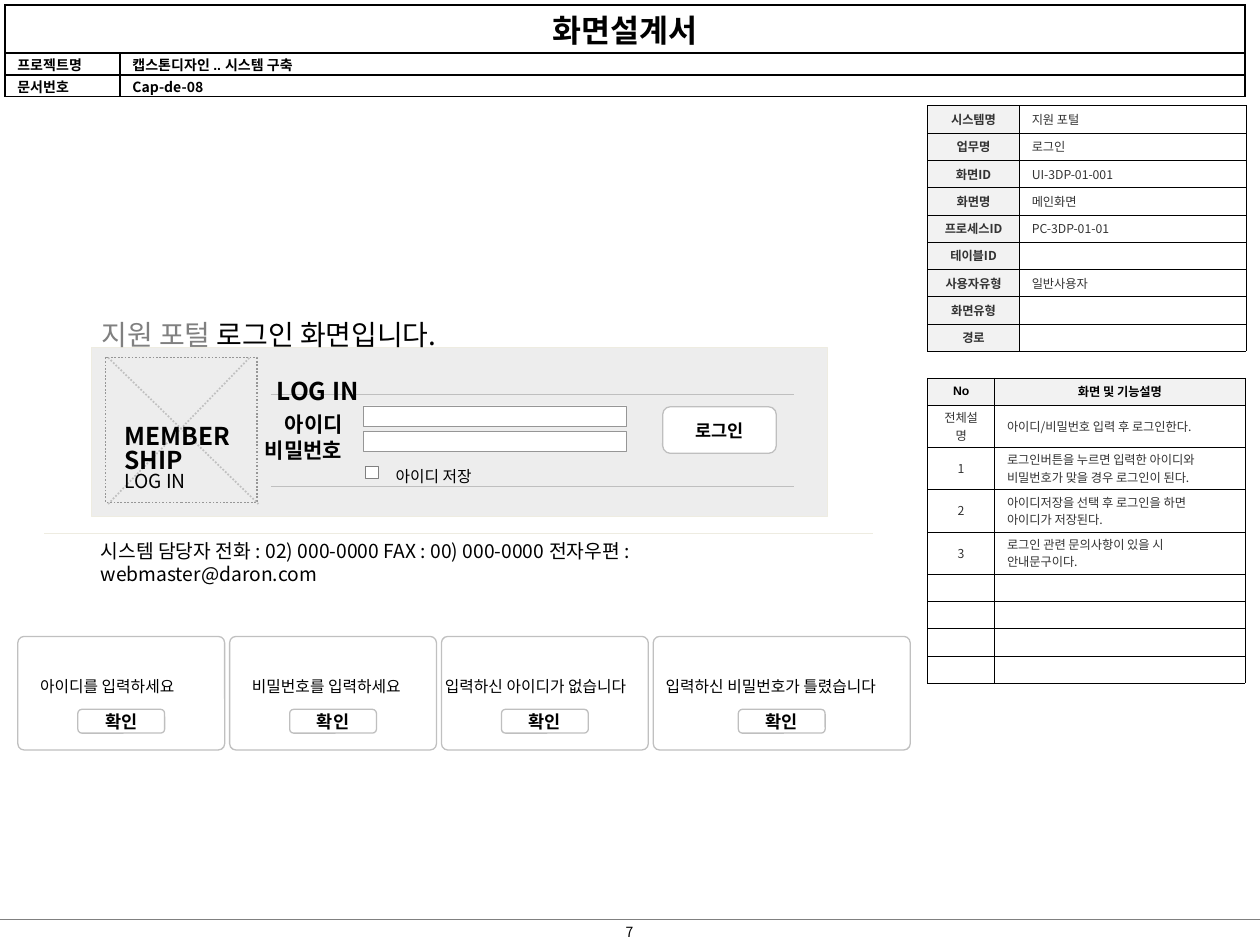
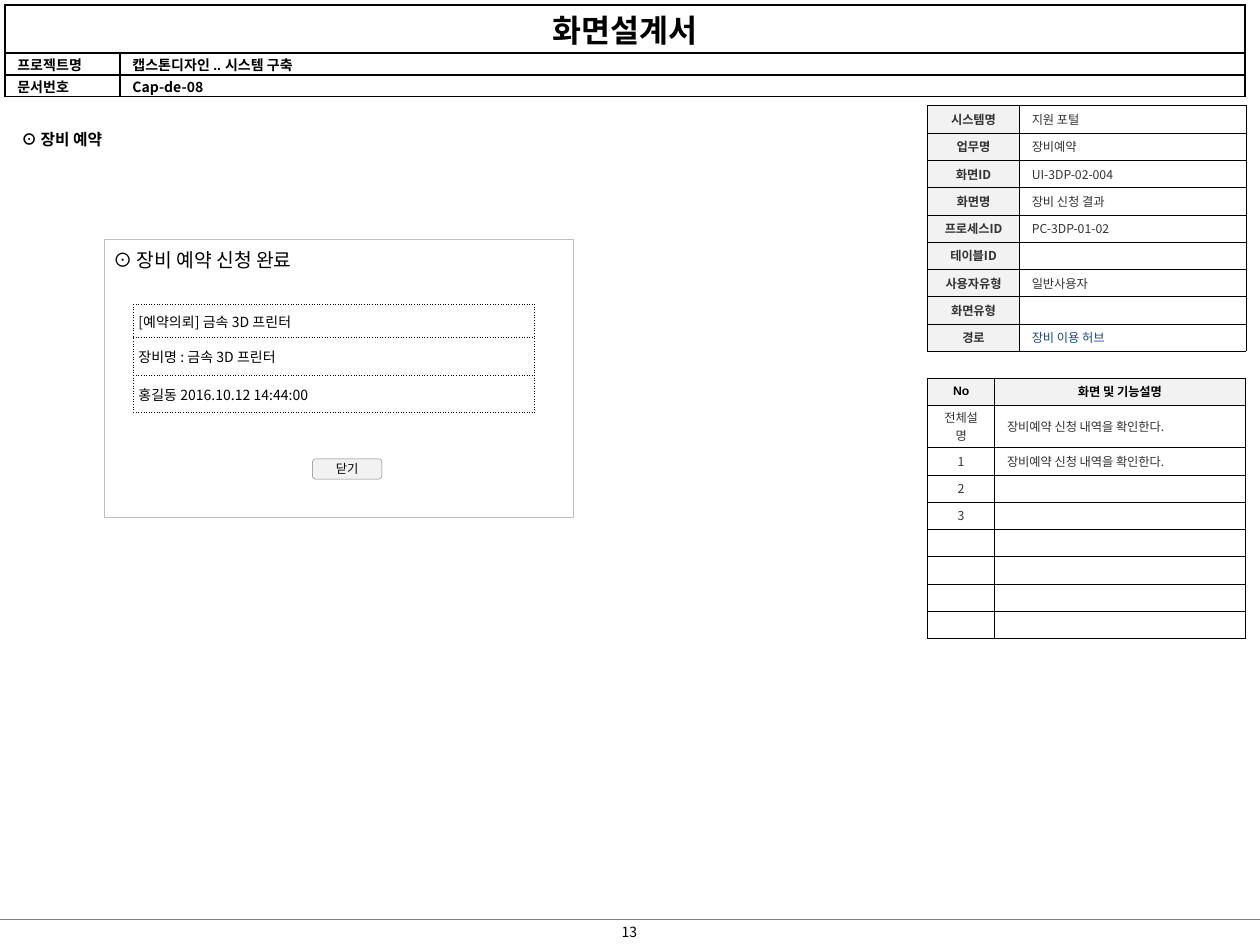
import pptx
import pptx.chart.data
import pptx.dml.color
import pptx.enum.dml
import pptx.enum.shapes
import pptx.enum.text
import pptx.oxml
import pptx.oxml.ns
import pptx.util
from lxml import etree

Cm = pptx.util.Cm
Pt = pptx.util.Pt
SHAPE = pptx.enum.shapes.MSO_SHAPE
ALIGN = pptx.enum.text.PP_ALIGN
ANCHOR = pptx.enum.text.MSO_ANCHOR
DASH = pptx.enum.dml.MSO_LINE
qn = pptx.oxml.ns.qn

COLORS = {
    "black": "000000",
    "white": "FFFFFF",
    "ink": "333333",
    "label": "F2F2F2",
    "link": "1F497D",
    "gray": "808080",
    "outline": "969696",
    "silver": "C0C0C0",
    "rule": "BFBFBF",
    "panel": "DDDDDD",
    "pale": "EEECE1",
}
KOREAN = "Noto Sans CJK KR"
LATIN = "Arial"

HEADER_ROWS = [
    ("화면설계서", ""),
    ("프로젝트명", "캡스톤디자인 .. 시스템 구축"),
    ("문서번호", "Cap-de-08"),
]
INFO_LABELS = [
    "시스템명", "업무명", "화면ID", "화면명", "프로세스ID",
    "테이블ID", "사용자유형", "화면유형", "경로",
]
DESCRIPTION_LABELS = ["전체설명", "1", "2", "3", "", "", "", ""]
POPUPS = [
    ("아이디를 입력하세요", 4.17, 0.2),
    ("비밀번호를 입력하세요", 4.17, 0.2),
    ("입력하신 아이디가 없습니다", 4.17, -0.18),
    ("입력하신 비밀번호가 틀렸습니다", 5.18, 0),
]


def rgb(name):
    return pptx.dml.color.RGBColor.from_string(COLORS[name])


def apply_formats(target, formats):
    for name, value in formats.items():
        setattr(target, name, value)


def write_span(para, text, size, color="black", bold=False, font=KOREAN):
    span = para.add_run()
    span.text = text
    apply_formats(span.font, {"size": Pt(size), "bold": bold, "name": font})
    span.font.color.rgb = rgb(color)
    properties = span.font._element
    etree.SubElement(properties, qn("a:ea"), typeface=KOREAN)


def set_margins(target, side, top):
    apply_formats(target, {
        "margin_left": Cm(side), "margin_right": Cm(side),
        "margin_top": Cm(top), "margin_bottom": Cm(top),
    })


def write_lines(frame, lines, align=ALIGN.LEFT, spacing=None):
    for index, spans in enumerate(lines):
        para = frame.paragraphs[0] if index == 0 else frame.add_paragraph()
        apply_formats(para, {"alignment": align, "line_spacing": spacing})
        for text, formats in spans:
            write_span(para, text, **formats)


def add_text(page, area, lines, align=ALIGN.LEFT, spacing=None, insets=(0.25, 0.13)):
    box = page.shapes.add_textbox(*map(Cm, area))
    box.text_frame.word_wrap = True
    set_margins(box.text_frame, *insets)
    write_lines(box.text_frame, lines, align, spacing)


def add_label(page, area, text, align=ALIGN.LEFT, spacing=1.2, insets=(0.2, 0.1), **formats):
    add_text(page, area, [[(text, formats)]], align, spacing, insets)


def add_box(page, area, line, width, fill="white", kind=SHAPE.RECTANGLE,
            rounding=None, alpha=None, dash=None):
    box = page.shapes.add_shape(kind, *map(Cm, area))
    box.shadow.inherit = False
    if rounding is not None:
        box.adjustments[0] = rounding
    if fill:
        box.fill.solid()
        box.fill.fore_color.rgb = rgb(fill)
    else:
        box.fill.background()
    if alpha:
        color = box.fill._xPr.find(qn("a:solidFill"))[0]
        etree.SubElement(color, qn("a:alpha"), val=str(alpha * 1000))
    box.line.color.rgb = rgb(line)
    apply_formats(box.line, {"width": Pt(width), "dash_style": dash})
    return box


def add_button(page, area, text, size=10, bold=True, fill="white", line="rule", width=0.75):
    button = add_box(page, area, line, width, fill, SHAPE.ROUNDED_RECTANGLE, 0.167)
    frame = button.text_frame
    apply_formats(frame, {"vertical_anchor": ANCHOR.MIDDLE, "word_wrap": True})
    set_margins(frame, 0, 0)
    write_lines(frame, [[(text, {"size": size, "bold": bold})]], ALIGN.CENTER)


def add_line(page, start, end, color, width, dash=None):
    line = page.shapes.add_connector(
        pptx.enum.shapes.MSO_CONNECTOR.STRAIGHT, *map(Cm, start + end))
    line.line.color.rgb = rgb(color)
    apply_formats(line.line, {"width": Pt(width), "dash_style": dash})
    etree.SubElement(line._element.spPr, qn("a:effectLst"))


def add_grid(page, left, top, columns, rows):
    frame = page.shapes.add_table(
        len(rows), len(columns), Cm(left), Cm(top), Cm(sum(columns)), Cm(sum(rows)))
    table = frame.table
    apply_formats(table, {"first_row": False, "horz_banding": False})
    for column, width in zip(table.columns, columns):
        column.width = Cm(width)
    for row, height in zip(table.rows, rows):
        row.height = Cm(height)
    return table


def set_borders(cell, width, dash):
    properties = cell._tc.get_or_add_tcPr()
    for side in ("a:lnL", "a:lnR", "a:lnT", "a:lnB"):
        border = etree.SubElement(properties, qn(side), w=str(Pt(width)))
        fill = etree.SubElement(border, qn("a:solidFill"))
        etree.SubElement(fill, qn("a:srgbClr"), val=COLORS["black"])
        etree.SubElement(border, qn("a:prstDash"), val=dash)


def fill_cell(cell, text, size=7, fill="white", align=ALIGN.LEFT, border=0.25,
              dash="solid", anchor=ANCHOR.MIDDLE, insets=(0.25, 0.05), **formats):
    set_borders(cell, border, dash)
    cell.fill.solid()
    cell.fill.fore_color.rgb = rgb(fill)
    cell.vertical_anchor = anchor
    set_margins(cell, *insets)
    para = cell.text_frame.paragraphs[0]
    para.alignment = align
    if text:
        write_span(para, text, size, **formats)
    else:
        etree.SubElement(para._p, qn("a:endParaRPr"), sz=str(size * 100))


def add_header(page):
    table = add_grid(page, 0.1, 0.1, [2.32, 22.68], [0.97, 0.44, 0.44])
    formats = {"border": 1, "anchor": ANCHOR.TOP, "bold": True}
    for row, texts in enumerate(HEADER_ROWS):
        for column, text in enumerate(texts):
            cell = table.cell(row, column)
            is_title = row == 0
            fill_cell(cell, text, 18 if is_title else 8,
                      align=ALIGN.CENTER if is_title else ALIGN.LEFT,
                      font=LATIN if row == 1 else KOREAN,
                      insets=(0.25, 0.02), **formats)
    table.cell(0, 0).merge(table.cell(0, 1))


def add_footer(page, number):
    add_line(page, (0, 18.54), (25.4, 18.54), "gray", 0.75)
    add_label(page, (11.99, 18.49, 1.4, 0.61), number, ALIGN.CENTER, None,
              (0.25, 0.13), size=8)


def add_info(page, values):
    table = add_grid(page, 18.7, 2.13, [1.85, 4.57], [0.55] * len(INFO_LABELS))
    for row, (label, value) in enumerate(zip(INFO_LABELS, values)):
        fill_cell(table.cell(row, 0), label, fill="label", align=ALIGN.CENTER,
                  insets=(0.1, 0.05), color="ink", bold=True)
        fill_cell(table.cell(row, 1), value, color="link" if label == "경로" else "ink")


def add_descriptions(page, texts, tall_rows):
    rows = [0.55] + [0.85 if index < tall_rows else 0.55
                     for index in range(len(DESCRIPTION_LABELS))]
    table = add_grid(page, 18.7, 7.62, [1.35, 5.05], rows)
    for column, title in enumerate(("No", "화면 및 기능설명")):
        fill_cell(table.cell(0, column), title, fill="label", align=ALIGN.CENTER,
                  bold=True, font=LATIN)
    for row, label in enumerate(DESCRIPTION_LABELS):
        text = texts[row] if row < len(texts) else ""
        fill_cell(table.cell(row + 1, 0), label, align=ALIGN.CENTER, color="ink")
        fill_cell(table.cell(row + 1, 1), text, color="ink")


def add_design_page(deck, number, info, descriptions, tall_rows):
    page = deck.slides.add_slide(deck.slide_layouts[6])
    add_footer(page, number)
    add_header(page)
    add_descriptions(page, descriptions, tall_rows)
    add_info(page, info)
    return page


def add_login_panel(page):
    add_box(page, (1.85, 7.01, 14.83, 3.4), "pale", 0.25, "panel", alpha=51)
    for height in (7.95, 9.8):
        add_line(page, (5.46, height), (16, height), "rule", 0.25)
    add_box(page, (2.13, 7.21, 3.05, 2.92), "outline", 1, None, dash=DASH.ROUND_DOT)
    add_line(page, (2.18, 7.21), (5.21, 10.16), "silver", 1, DASH.ROUND_DOT)
    add_line(page, (2.18, 10.16), (5.03, 7.21), "silver", 1, DASH.ROUND_DOT)
    bold = {"size": 14, "bold": True}
    add_text(page, (2.31, 8.51, 2.72, 1.57),
             [[("MEMBER", bold)], [("SHIP", bold)], [("LOG IN", {"size": 11})]],
             spacing=0.8, insets=(0.2, 0.1))
    add_label(page, (5.38, 7.37, 2.3, 0.71), "LOG IN", **bold)
    for label, right, top in (("아이디", 7.11, 8.1), ("비밀번호", 7.1, 8.61)):
        add_label(page, (right - 2.7, top, 2.7, 0.64), label, ALIGN.RIGHT,
                  size=12, bold=True)
        add_box(page, (7.32, top + 0.08, 5.31, 0.41), "outline", 0.25)
    add_box(page, (7.37, 9.4, 0.25, 0.25), "gray", 0.25)
    add_label(page, (6.91, 9.3, 3.66, 0.48), "아이디 저장", ALIGN.CENTER, None, size=9)
    add_button(page, (13.36, 8.2, 2.29, 0.94), "로그인")


def add_popups(page):
    left, top, gap = 0.36, 12.83, 0.1
    for message, width, offset in POPUPS:
        add_box(page, (left, top, width, 2.29), "silver", 0.75,
                kind=SHAPE.ROUNDED_RECTANGLE, rounding=0.056)
        add_label(page, (left + offset, top + 0.68, width + 0.5, 0.64), message,
                  spacing=None, insets=(0.25, 0.13), size=9, font=LATIN)
        add_button(page, (left + (width - 1.75) / 2, top + 1.47, 1.75, 0.48), "확인")
        left += width + gap


def build_login(deck):
    page = add_design_page(
        deck, "7",
        ["지원 포털", "로그인", "UI-3DP-01-001", "메인화면", "PC-3DP-01-01",
         "", "일반사용자", "", ""],
        ["아이디/비밀번호 입력 후 로그인한다.",
         "로그인버튼을 누르면 입력한 아이디와 비밀번호가 맞을 경우 로그인이 된다.",
         "아이디저장을 선택 후 로그인을 하면 아이디가 저장된다.",
         "로그인 관련 문의사항이 있을 시 안내문구이다."],
        tall_rows=4)
    add_login_panel(page)
    add_text(page, (1.85, 6.17, 13.28, 1.02),
             [[("지원 포털 ", {"size": 16, "color": "gray"}),
               ("로그인 화면입니다.", {"size": 16})]],
             spacing=1.2, insets=(0.2, 0.1))
    add_label(page, (1.78, 10.74, 14.83, 0.58),
              "시스템 담당자 전화 : 02) 000-0000 FAX : 00) 000-0000 전자우편 : "
              "webmaster@daron.com", spacing=None, insets=(0.25, 0.13), size=11)
    add_line(page, (0.89, 10.74), (17.6, 10.74), "pale", 0.25)
    add_popups(page)


def build_reservation(deck):
    summary = "장비예약 신청 내역을 확인한다."
    page = add_design_page(
        deck, "13",
        ["지원 포털", "장비예약", "UI-3DP-02-004", "장비 신청 결과", "PC-3DP-01-02",
         "", "일반사용자", "", "장비 이용 허브"],
        [summary, summary], tall_rows=1)
    plain = {"spacing": None, "insets": (0.25, 0.13)}
    add_label(page, (0.18, 2.49, 3, 0.64), "⊙ 장비 예약", size=9, bold=True, **plain)
    add_box(page, (2.11, 4.83, 9.45, 5.61), "silver", 0.75)
    add_label(page, (2.03, 4.88, 5, 0.74), "⊙ 장비 예약 신청 완료", size=11, **plain)
    table = add_grid(page, 2.69, 6.14, [8.08], [0.66, 0.76, 0.76])
    details = ["[예약의뢰] 금속 3D 프린터", "장비명 : 금속 3D 프린터",
               "홍길동 2016.10.12 14:44:00"]
    for row, detail in enumerate(details):
        fill_cell(table.cell(row, 0), detail, 8, border=0.5, dash="dot", insets=(0.1, 0))
    add_button(page, (6.3, 9.25, 1.4, 0.41), "닫기", 7, False, "label", "gray", 0.25)


def main():
    deck = pptx.Presentation()
    apply_formats(deck, {"slide_width": Cm(25.4), "slide_height": Cm(19.05)})
    build_login(deck)
    build_reservation(deck)
    deck.save("out.pptx")


if __name__ == "__main__":
    main()
